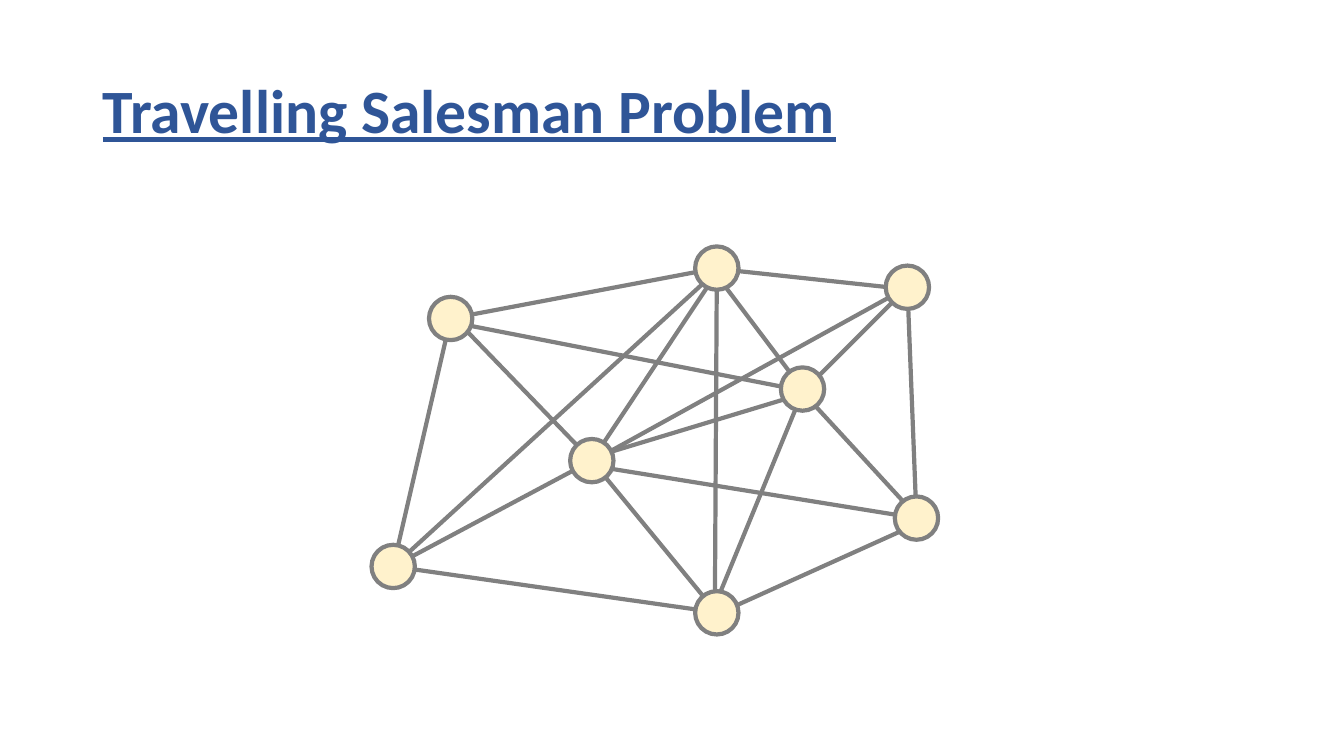
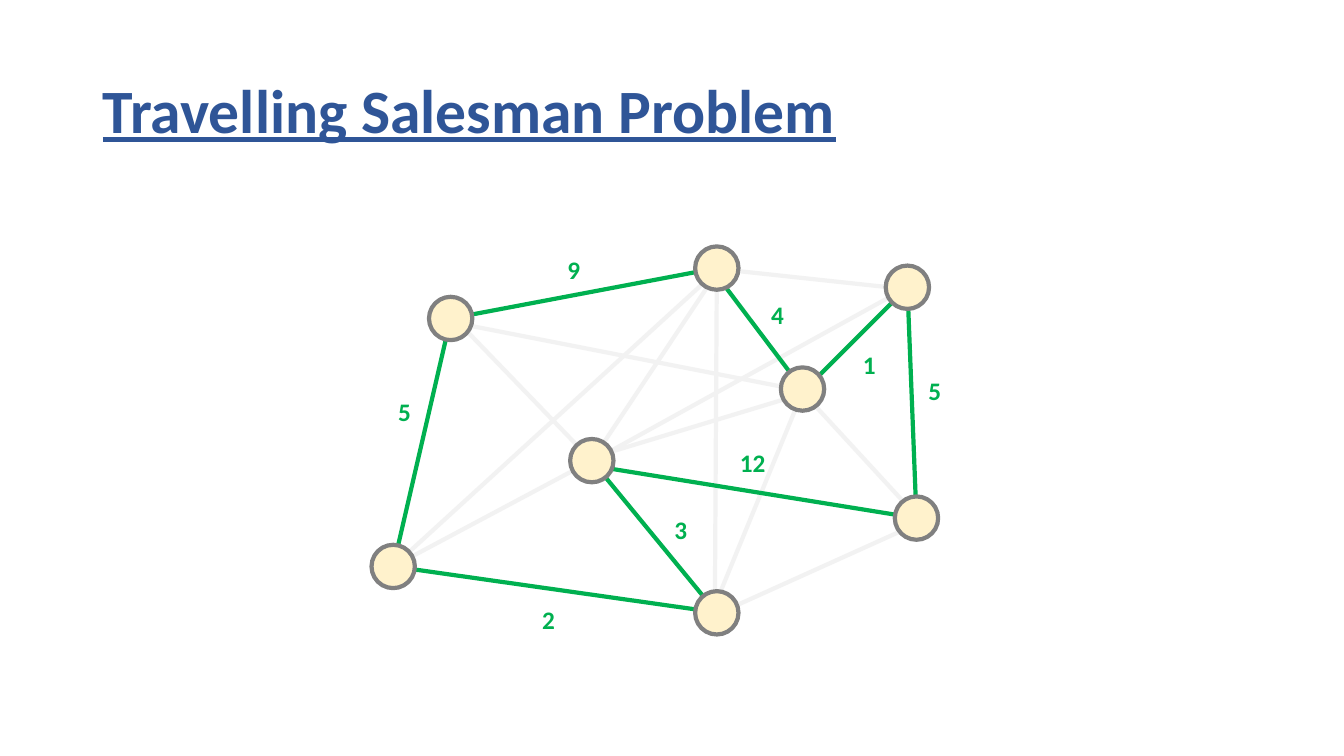
from dataclasses import dataclass
from typing import NamedTuple

from lxml import etree
from pptx import Presentation
from pptx.dml.color import RGBColor
from pptx.enum.shapes import MSO_CONNECTOR, MSO_SHAPE
from pptx.enum.text import MSO_ANCHOR, MSO_AUTO_SIZE, PP_ALIGN
from pptx.oxml.ns import qn
from pptx.util import Inches, Pt


@dataclass(frozen=True)
class Theme:
    font: str = "Calibri"
    title: str = "2F5597"
    outline: str = "808080"
    node: str = "FFF2CC"
    tour: str = "00B050"
    faded: str = "F2F2F2"
    title_size: int = 44
    cost_size: int = 18
    line_width: int = 3


class Edge(NamedTuple):
    """A road; only roads of the tour have a cost. Shifts fan out the ends."""
    start: str
    end: str
    cost: str = ""
    label_at: tuple = (0, 0)
    start_shift: tuple = (0, 0)
    end_shift: tuple = (0, 0)


THEME = Theme()
TITLE = "Travelling Salesman Problem"
NODE_SIZE = 0.43

# Centres of the cities
NODES = {
    "A": (4.47, 3.16),
    "B": (7.11, 2.66),
    "C": (9.00, 2.85),
    "D": (7.96, 3.86),
    "E": (5.87, 4.57),
    "F": (9.09, 5.14),
    "G": (7.11, 6.08),
    "H": (3.90, 5.62),
}

EDGES = [
    Edge("E", "C", start_shift=(0.05, -0.02)),
    Edge("A", "D", start_shift=(0.03, 0.04), end_shift=(0.02, 0.02)),
    Edge("B", "H", start_shift=(0.03, 0)),
    Edge("E", "B", end_shift=(0.03, 0)),
    Edge("G", "D", start_shift=(-0.05, 0), end_shift=(0, 0.03)),
    Edge("F", "D", start_shift=(0.02, 0), end_shift=(0, 0.03)),
    Edge("F", "G", start_shift=(0, 0.06), end_shift=(0.03, 0)),
    Edge("E", "D", start_shift=(0, -0.03), end_shift=(-0.01, 0.05)),
    Edge("E", "H"),
    Edge("A", "E", start_shift=(0.04, 0)),
    Edge("G", "B", start_shift=(-0.02, 0)),
    Edge("C", "B", start_shift=(0, 0.02), end_shift=(0.03, 0.01)),
    Edge("A", "H", "5", (3.85, 3.88)),
    Edge("A", "B", "9", (5.53, 2.47)),
    Edge("D", "B", "4", (7.55, 2.92), end_shift=(-0.04, 0.02)),
    Edge("F", "C", "5", (9.11, 3.67)),
    Edge("C", "D", "1", (8.46, 3.42), end_shift=(0, 0.03)),
    Edge("F", "E", "12", (7.24, 4.39), end_shift=(0, 0.05)),
    Edge("G", "H", "2", (5.28, 5.95), start_shift=(0.03, 0)),
    Edge("E", "G", "3", (6.59, 5.05)),
]


def style_font(font, size, color):
    font.name = THEME.font
    font.size = Pt(size)
    font.bold = True
    font.color.rgb = RGBColor.from_string(color)


def style_line(line, color):
    line.color.rgb = RGBColor.from_string(color)
    line.width = Pt(THEME.line_width)


def add_title(s):
    sp = s.shapes.title
    sp.left, sp.top = Inches(0.92), Inches(0.4)
    sp.width, sp.height = Inches(11.5), Inches(1.45)
    tf = sp.text_frame
    tf.text = TITLE
    tf.auto_size = MSO_AUTO_SIZE.NONE
    tf.vertical_anchor = MSO_ANCHOR.MIDDLE
    p = tf.paragraphs[0]
    p.alignment = PP_ALIGN.LEFT
    p.line_spacing = 0.9
    font = p.runs[0].font
    style_font(font, THEME.title_size, THEME.title)
    font.underline = True


def edge_point(node, shift):
    return [Inches(c + d) for c, d in zip(NODES[node], shift)]


def add_edge(s, edge, color):
    sp = s.shapes.add_connector(
        MSO_CONNECTOR.STRAIGHT,
        *edge_point(edge.start, edge.start_shift),
        *edge_point(edge.end, edge.end_shift),
    )
    style_line(sp.line, color)
    etree.SubElement(sp._element.spPr, qn("a:effectLst"))


def add_node(s, center):
    left, top = (Inches(c - NODE_SIZE / 2) for c in center)
    sp = s.shapes.add_shape(
        MSO_SHAPE.OVAL, left, top, Inches(NODE_SIZE), Inches(NODE_SIZE)
    )
    sp.shadow.inherit = False
    sp.fill.solid()
    sp.fill.fore_color.rgb = RGBColor.from_string(THEME.node)
    style_line(sp.line, THEME.outline)


def add_cost(s, edge):
    left, top = (Inches(c) for c in edge.label_at)
    width = Inches(0.2 + 0.13 * len(edge.cost))
    tf = s.shapes.add_textbox(left, top, width, Inches(0.4)).text_frame
    tf.text = edge.cost
    tf.word_wrap = False
    tf.auto_size = MSO_AUTO_SIZE.SHAPE_TO_FIT_TEXT
    style_font(tf.paragraphs[0].runs[0].font, THEME.cost_size, THEME.tour)


def add_graph_slide(prs, show_tour):
    s = prs.slides.add_slide(prs.slide_layouts.get_by_name("Title Only"))
    add_title(s)
    for edge in EDGES:
        color = THEME.outline
        if show_tour:
            color = THEME.tour if edge.cost else THEME.faded
        add_edge(s, edge, color)
    for center in NODES.values():
        add_node(s, center)
    if show_tour:
        for edge in EDGES:
            if edge.cost:
                add_cost(s, edge)


def main():
    prs = Presentation()
    prs.slide_width, prs.slide_height = Inches(13.33), Inches(7.5)
    for show_tour in (False, True):
        add_graph_slide(prs, show_tour)
    prs.save("out.pptx")


if __name__ == "__main__":
    main()
